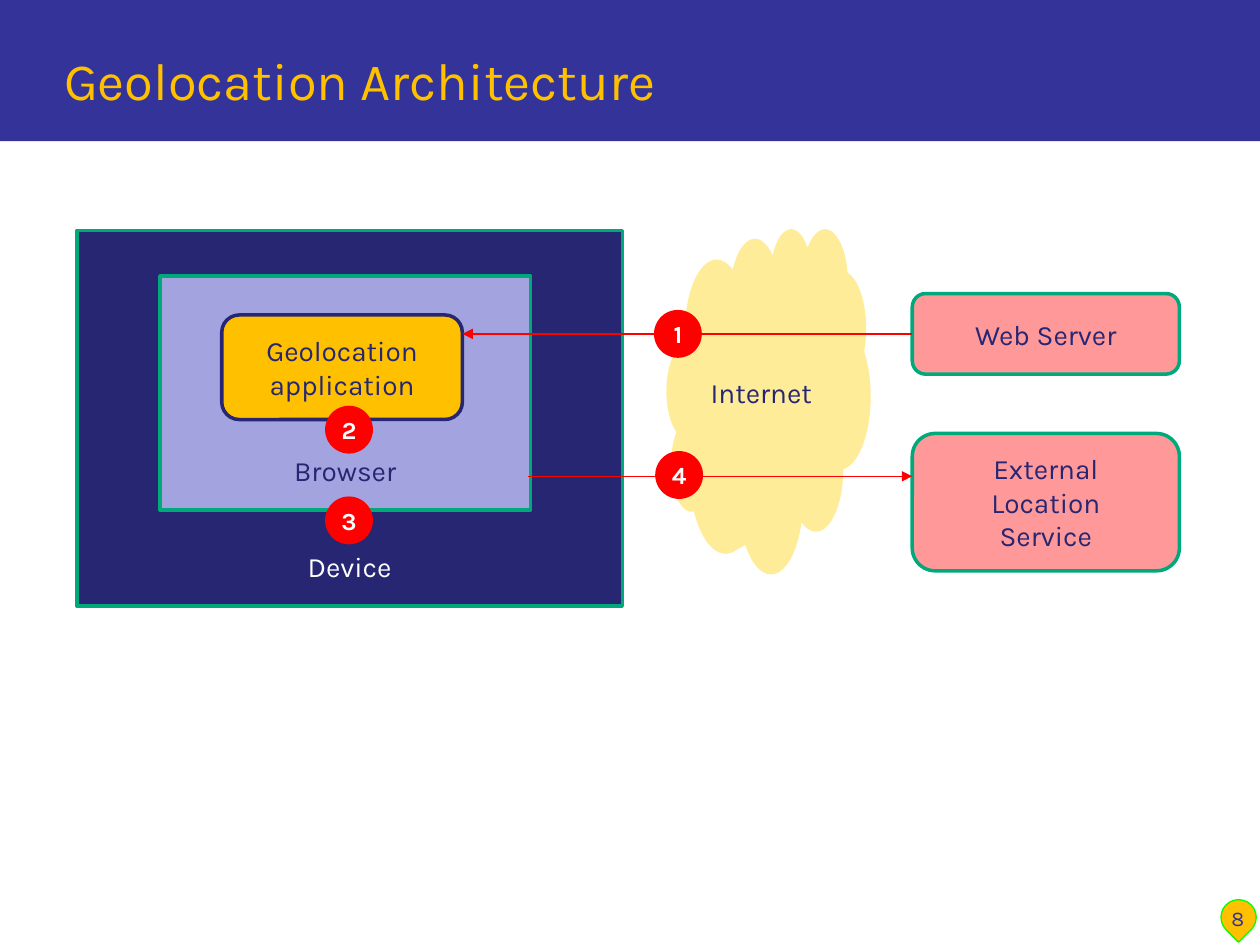
from lxml.etree import SubElement
from pptx import Presentation
from pptx.dml.color import RGBColor
from pptx.enum.shapes import MSO_CONNECTOR, MSO_SHAPE as Preset
from pptx.enum.text import MSO_ANCHOR as Anchor, PP_ALIGN as Align
from pptx.oxml.ns import qn
from pptx.util import Inches, Pt

FONT = "Karla"
INDIGO = RGBColor(0x33, 0x33, 0x99)
NAVY = RGBColor(0x26, 0x26, 0x73)
LAVENDER = RGBColor(0xA3, 0xA3, 0xE0)
AMBER = RGBColor(0xFF, 0xC0, 0x00)
CREAM = RGBColor(0xFF, 0xEC, 0x99)
PINK = RGBColor(0xFF, 0x99, 0x99)
GREEN = RGBColor(0x00, 0xA9, 0x7C)
LIME = RGBColor(0x00, 0xFF, 0x00)
RED = RGBColor(0xFF, 0x00, 0x00)
WHITE = RGBColor(0xFF, 0xFF, 0xFF)

SLIDE_WIDTH, SLIDE_HEIGHT = 10, 7.5
BADGE_SIZE = 0.38
LABEL_RISE = 0.18
SERVER_LEFT, SERVER_WIDTH = 7.24, 2.12
APPLICATION_RIGHT = 3.67
DOWNLOAD_Y, UPLOAD_Y = 2.65, 3.78

CONTAINERS = [
    ("Device", (0.61, 1.83, 4.33, 2.98), NAVY, WHITE),
    ("Browser", (1.27, 2.19, 2.94, 1.86), LAVENDER, NAVY),
]
NODES = [
    (["Geolocation", "application"], (1.76, 2.5, 1.91, 0.83), AMBER, NAVY),
    (["External", "Location", "Service"], (SERVER_LEFT, 3.44, SERVER_WIDTH, 1.09), PINK, GREEN),
    (["Web Server"], (SERVER_LEFT, 2.33, SERVER_WIDTH, 0.64), PINK, GREEN),
]
BADGES = [
    ("1", 5.38, DOWNLOAD_Y),
    ("2", 2.77, 3.41),
    ("3", 2.77, 4.13),
    ("4", 5.39, 3.77),
]


def write(shape, lines, size, color, anchor=Anchor.MIDDLE, align=Align.CENTER, bold=False):
    frame = shape.text_frame
    frame.word_wrap = True
    frame.vertical_anchor = anchor
    for index, line in enumerate(lines):
        paragraph = frame.add_paragraph() if index else frame.paragraphs[0]
        paragraph.alignment = align
        run = paragraph.add_run()
        run.text = line
        run.font.name = FONT
        run.font.size = Pt(size)
        run.font.bold = bold
        run.font.color.rgb = color


def add_block(slide, preset, box, fill, line=None, line_width=2):
    shape = slide.shapes.add_shape(preset, *map(Inches, box))
    shape.shadow.inherit = False
    shape.fill.solid()
    shape.fill.fore_color.rgb = fill
    if line is None:
        shape.line.fill.background()
    else:
        shape.line.color.rgb = line
        shape.line.width = Pt(line_width)
    return shape


def add_label(slide, box, text, size, color, align):
    label = slide.shapes.add_textbox(*map(Inches, box))
    write(label, [text], size, color, Anchor.BOTTOM, align)


def add_arrow(slide, start, end):
    arrow = slide.shapes.add_connector(MSO_CONNECTOR.STRAIGHT, *map(Inches, start + end))
    arrow.line.color.rgb = RED
    arrow.line.width = Pt(0.75)
    SubElement(arrow.line._get_or_add_ln(), qn("a:tailEnd"), type="triangle")
    SubElement(arrow._element.spPr, qn("a:effectLst"))
    return arrow


def main():
    presentation = Presentation()
    presentation.slide_width = Inches(SLIDE_WIDTH)
    presentation.slide_height = Inches(SLIDE_HEIGHT)
    slide = presentation.slides.add_slide(presentation.slide_layouts[6])

    add_block(slide, Preset.RECTANGLE, (0, 0, SLIDE_WIDTH, 1.12), INDIGO)
    page_marker = add_block(slide, Preset.TEAR, (9.69, 7.14, 0.28, 0.28), AMBER, LIME, 0.75)
    page_marker.rotation = 135
    add_label(slide, (0.41, 0.17, 9.35, 0.76), "Geolocation Architecture", 30, AMBER, Align.LEFT)
    add_label(slide, (9.54, 6.94, 0.57, 0.5), "8", 12, INDIGO, Align.CENTER)

    for name, box, fill, color in CONTAINERS:
        container = add_block(slide, Preset.RECTANGLE, box, fill, GREEN)
        write(container, [name], 16, color, Anchor.BOTTOM)
        container.text_frame.margin_bottom = Inches(LABEL_RISE)

    nodes = {}
    for lines, box, fill, line in NODES:
        node = add_block(slide, Preset.ROUNDED_RECTANGLE, box, fill, line)
        write(node, lines, 16, NAVY)
        nodes[lines[0]] = node

    cloud = add_block(slide, Preset.CLOUD_CALLOUT, (5.29, 1.81, 1.62, 2.74), CREAM)
    cloud.adjustments[0] = -0.09
    cloud.adjustments[1] = 0.2
    write(cloud, ["Internet"], 16, NAVY)

    download = add_arrow(slide, (SERVER_LEFT, DOWNLOAD_Y), (APPLICATION_RIGHT, DOWNLOAD_Y))
    download.begin_connect(nodes["Web Server"], 1)
    add_arrow(slide, (4.19, UPLOAD_Y), (SERVER_LEFT, UPLOAD_Y))

    for number, center_x, center_y in BADGES:
        corner = (center_x - BADGE_SIZE / 2, center_y - BADGE_SIZE / 2)
        badge = add_block(slide, Preset.OVAL, corner + (BADGE_SIZE, BADGE_SIZE), RED)
        frame = badge.text_frame
        frame.margin_left = frame.margin_right = frame.margin_top = frame.margin_bottom = 0
        write(badge, [number], 14, WHITE, bold=True)

    presentation.save("out.pptx")


if __name__ == "__main__":
    main()
